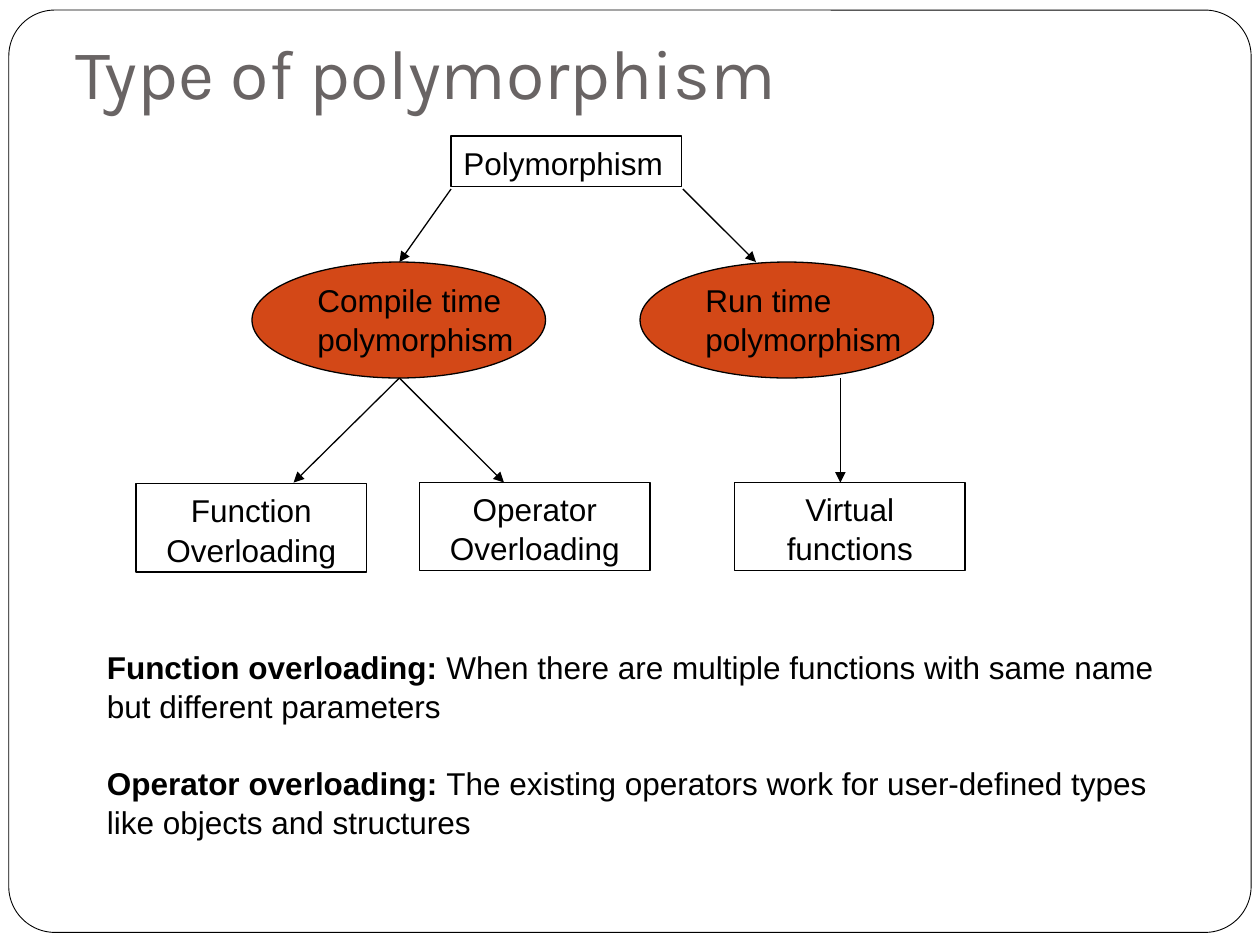
from pptx import Presentation
from pptx import util as u
from pptx.dml.color import RGBColor
from pptx.enum import shapes, text
from pptx.oxml.ns import qn
from lxml import etree

BLACK = RGBColor(0x00, 0x00, 0x00)
WHITE = RGBColor(0xFF, 0xFF, 0xFF)
ORANGE = RGBColor(0xD3, 0x48, 0x17)
GRAY = RGBColor(0x69, 0x64, 0x64)
MSO = shapes.MSO_SHAPE
ALIGN = text.PP_ALIGN


class Diagram:
    font = "Arial"
    size = 18
    line_width = 0.75
    line_spacing = 1.04

    def __init__(self, slide):
        self.s = slide

    def style(self, p, align=ALIGN.LEFT):
        p.alignment = align
        p.line_spacing = self.line_spacing
        p.font.name = self.font
        p.font.size = u.Pt(self.size)
        p.font.color.rgb = BLACK

    def shape(self, kind, left, top, width, height, fill=None, line_width=line_width):
        sp = self.s.shapes.add_shape(
            kind, u.Inches(left), u.Inches(top), u.Inches(width), u.Inches(height))
        sp.shadow.inherit = False
        if fill is None:
            sp.fill.background()
        else:
            sp.fill.solid()
            sp.fill.fore_color.rgb = fill
        sp.line.color.rgb = BLACK
        sp.line.width = u.Pt(line_width)
        return sp

    def text_frame(self, left, top, width, height):
        sp = self.s.shapes.add_textbox(
            u.Inches(left), u.Inches(top), u.Inches(width), u.Inches(height))
        sp.text_frame.word_wrap = True
        return sp.text_frame

    def frame(self):
        sp = self.shape(MSO.ROUNDED_RECTANGLE, 0.07, 0.08, 9.86, 7.32, WHITE, 0.5)
        sp.adjustments[0] = 0.05

    def title(self, words):
        tf = self.text_frame(0.5, 0.3, 9, 0.7)
        tf.vertical_anchor = text.MSO_ANCHOR.BOTTOM
        tf.margin_bottom = u.Inches(0.1)
        p = tf.paragraphs[0]
        p.text = words
        p.font.name = "Karla"
        p.font.size = u.Pt(40)
        p.font.color.rgb = GRAY

    def box(self, words, left, top, height, align=ALIGN.CENTER):
        tf = self.shape(MSO.RECTANGLE, left, top, 1.83, height).text_frame
        tf.word_wrap = True
        tf.vertical_anchor = text.MSO_ANCHOR.TOP
        p = tf.paragraphs[0]
        p.text = words
        self.style(p, align)

    def ellipse(self, words, left, top):
        self.shape(MSO.OVAL, left, top, 2.33, 0.92, ORANGE)
        p = self.text_frame(left + 0.42, top + 0.09, 2.08, 0.7).paragraphs[0]
        p.text = words
        self.style(p)

    def arrow(self, x1, y1, x2, y2):
        c = self.s.shapes.add_connector(
            shapes.MSO_CONNECTOR.STRAIGHT,
            u.Inches(x1), u.Inches(y1), u.Inches(x2), u.Inches(y2))
        c.line.color.rgb = BLACK
        c.line.width = u.Pt(self.line_width)
        etree.SubElement(c.line._get_or_add_ln(), qn("a:tailEnd"), type="triangle")
        etree.SubElement(c._element.spPr, qn("a:effectLst"))

    def definitions(self, items):
        tf = self.text_frame(0.75, 5.08, 8.67, 1.9)
        for i, (term, meaning) in enumerate(items):
            p = tf.add_paragraph() if i else tf.paragraphs[0]
            if i:
                p.space_before = u.Pt(21.5)
            r = p.add_run()
            r.text = term + ": "
            r.font.bold = True
            p.add_run().text = meaning
            self.style(p)


def main():
    prs = Presentation()
    prs.slide_width, prs.slide_height = u.Inches(10), u.Inches(7.5)
    d = Diagram(prs.slides.add_slide(prs.slide_layouts[6]))

    d.frame()
    d.title("Type of polymorphism")
    d.box("Polymorphism", 3.58, 1.08, 0.4, ALIGN.LEFT)
    for words, left, top in (("Function Overloading", 1.08, 3.84),
                             ("Operator Overloading", 3.33, 3.83),
                             ("Virtual functions", 5.83, 3.83)):
        d.box(words, left, top, 0.7)
    for words, left in (("Compile time polymorphism", 2), ("Run time polymorphism", 5.08)):
        d.ellipse(words, left, 2.08)
    for start, end in ((3.58, 3.17), (5.42, 6)):
        d.arrow(start, 1.5, end, 2.08)
    for start, end in ((3.17, 2.33), (3.17, 4), (6.67, 6.67)):
        d.arrow(start, 3, end, 3.83)
    d.definitions((
        ("Function overloading",
         "When there are multiple functions with same name but different parameters"),
        ("Operator overloading",
         "The existing operators work for user-defined types like objects and structures"),
    ))
    prs.save("out.pptx")


if __name__ == "__main__":
    main()
